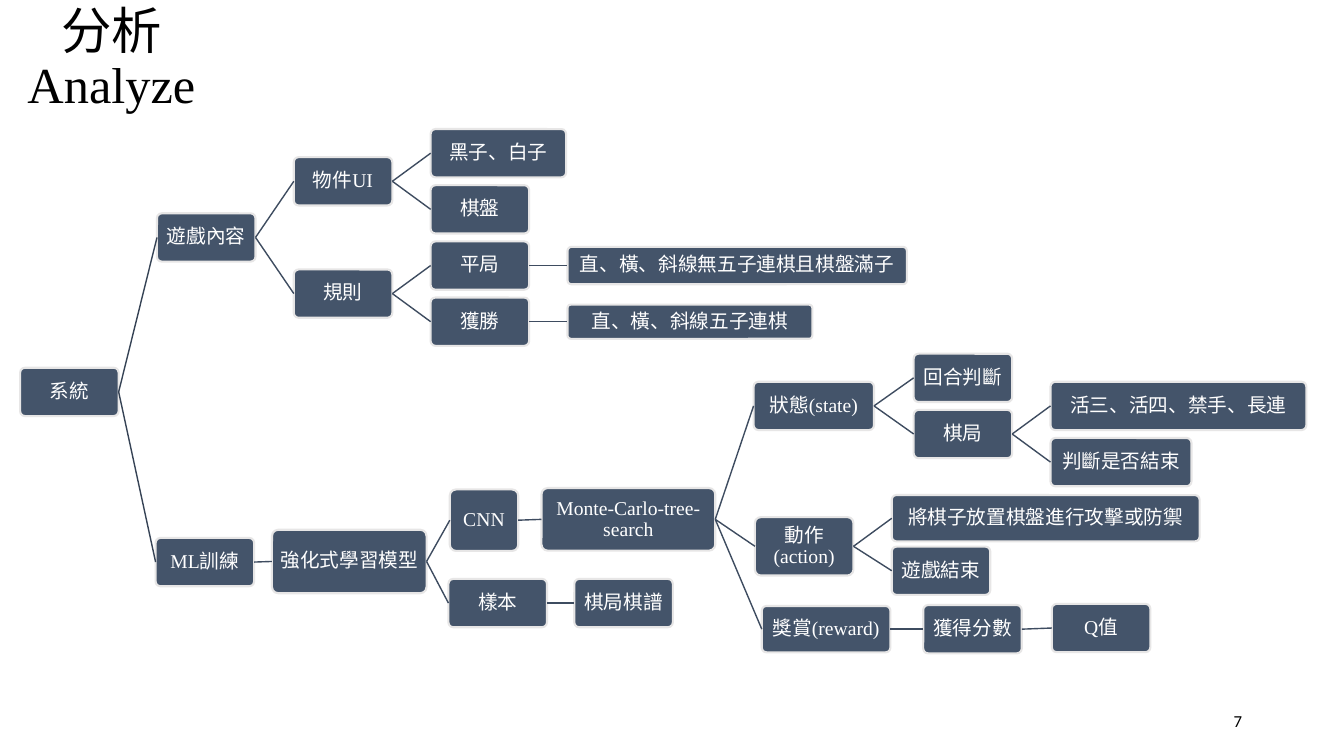
from dataclasses import dataclass

from pptx import Presentation
from pptx.dml.color import RGBColor
from pptx.enum.shapes import MSO_CONNECTOR, MSO_SHAPE
from pptx.enum.text import MSO_ANCHOR, MSO_AUTO_SIZE, PP_ALIGN
from pptx.oxml.ns import qn
from pptx.util import Inches, Pt

STRAIGHT = MSO_CONNECTOR.STRAIGHT
ROUNDED = MSO_SHAPE.ROUNDED_RECTANGLE
MIDDLE = MSO_ANCHOR.MIDDLE
NO_AUTOFIT = MSO_AUTO_SIZE.NONE
CENTER = PP_ALIGN.CENTER
RIGHT = PP_ALIGN.RIGHT
LEFT_SITE, RIGHT_SITE = 1, 3


@dataclass(frozen=True)
class Theme:
    serif: str = "Times New Roman"
    sans: str = "Calibri"
    title_size: float = 36
    node_size: float = 14
    number_size: float = 12
    ink: str = "000000"
    node_text: str = "FFFFFF"
    node_fill: str = "44546A"
    node_border: str = "E7E6E6"
    trunk: str = "364355"
    branch: str = "3E4C60"
    border_width: float = 1.5
    branch_width: float = 1
    leading: float = 0.9
    corner: float = 0.1
    padding: float = 0.02


@dataclass(frozen=True)
class Grid:
    left: float = 0.2
    top: float = 1.52
    column: float = 9.5 / 7
    row: float = 1.95 / 7

    def frame(self, node):
        return (
            Inches(self.left + node.column * self.column),
            Inches(self.top + (node.row - node.height / 2) * self.row),
            Inches(node.width * self.column),
            Inches(node.height * self.row),
        )


@dataclass(frozen=True)
class Node:
    text: str
    column: float
    row: float
    children: tuple = ()
    width: float = 0.72
    height: float = 1.72


class TreeSlide:
    def __init__(self, deck, theme, grid):
        self.deck, self.theme, self.grid = deck, theme, grid
        self.page = deck.slides.add_slide(deck.slide_layouts[5])

    def share(self, left, top, width, height):
        across, down = self.deck.slide_width / 100, self.deck.slide_height / 100
        return int(left * across), int(top * down), int(width * across), int(height * down)

    def set_text(self, box, lines, size, font, colour, align, leading=None):
        frame = box.text_frame
        frame.word_wrap = True
        frame.auto_size = NO_AUTOFIT
        frame.vertical_anchor = MIDDLE
        para = frame.paragraphs[0]
        para.alignment = align
        para.line_spacing = leading
        for index, line in enumerate(lines):
            if index:
                para.add_line_break()
            span = para.add_run()
            span.text = line
            span.font.size = Pt(size)
            span.font.name = font
            span.font.color.rgb = RGBColor.from_string(colour)

    def title(self, lines, area):
        theme = self.theme
        box = self.page.shapes.title
        box.left, box.top, box.width, box.height = self.share(*area)
        self.set_text(box, lines, theme.title_size, theme.serif, theme.ink, CENTER, theme.leading)

    def page_number(self, text, area):
        theme = self.theme
        box = self.page.shapes.add_textbox(*self.share(*area))
        self.set_text(box, [text], theme.number_size, theme.sans, theme.ink, RIGHT)

    def node(self, node):
        theme = self.theme
        box = self.page.shapes.add_shape(ROUNDED, *self.grid.frame(node))
        box.shadow.inherit = False
        box.adjustments[0] = theme.corner
        box.fill.solid()
        box.fill.fore_color.rgb = RGBColor.from_string(theme.node_fill)
        box.line.color.rgb = RGBColor.from_string(theme.node_border)
        box.line.width = Pt(theme.border_width)
        frame = box.text_frame
        frame.margin_left = frame.margin_right = Inches(theme.padding)
        frame.margin_top = frame.margin_bottom = Inches(theme.padding)
        self.set_text(box, [node.text], theme.node_size, theme.serif, theme.node_text,
                      CENTER, theme.leading)
        return box

    def branch(self, parent, child, colour):
        line = self.page.shapes.add_connector(STRAIGHT, 0, 0, 0, 0)
        line.begin_connect(parent, RIGHT_SITE)
        line.end_connect(child, LEFT_SITE)
        line.line.color.rgb = RGBColor.from_string(colour)
        line.line.width = Pt(self.theme.branch_width)
        properties = line._element.spPr
        properties.append(properties.makeelement(qn("a:effectLst"), {}))

    def tree(self, node, colour):
        parent = self.node(node)
        for child in node.children:
            self.branch(parent, self.tree(child, self.theme.branch), colour)
        return parent


game = Node("遊戲內容", 1, 3, (
    Node("物件UI", 2, 1, (
        Node("黑子、白子", 3, 0, width=0.99),
        Node("棋盤", 3, 2),
    )),
    Node("規則", 2, 5, (
        Node("平局", 3, 4, (
            Node("直、橫、斜線無五子連棋且棋盤滿子", 4, 4, width=2.48, height=1.33),
        )),
        Node("獲勝", 3, 6, (
            Node("直、橫、斜線五子連棋", 4, 6, width=1.79, height=1.22),
        )),
    )),
))

state = Node("狀態(state)", 5.36, 9, (
    Node("回合判斷", 6.53, 8),
    Node("棋局", 6.53, 10, (
        Node("活三、活四、禁手、長連", 7.53, 9, width=1.87),
        Node("判斷是否結束", 7.53, 11, width=1.03),
    )),
), width=0.88)

action = Node("動作(action)", 5.37, 14, (
    Node("將棋子放置棋盤進行攻擊或防禦", 6.37, 13, width=2.25, height=1.65),
    Node("遊戲結束", 6.37, 14.87),
), height=2.08)

reward = Node("獎賞(reward)", 5.42, 16.95, (
    Node("獲得分數", 6.6, 16.95, (
        Node("Q值", 7.54, 16.91),
    )),
), width=0.94, height=1.65)

search = Node("Monte-Carlo-tree-search", 3.81, 13.04, (state, action, reward),
              width=1.27, height=2.23)

training = Node("ML訓練", 0.99, 14.56, (
    Node("強化式學習模型", 1.84, 14.54, (
        Node("CNN", 3.14, 13.07, (search,), width=0.5, height=2.19),
        Node("樣本", 3.13, 16.02, (
            Node("棋局棋譜", 4.05, 16.02),
        )),
    ), width=1.13, height=2.26),
))

system = Node("系統", 0, 8.5, (game, training))

deck = Presentation()
deck.slide_width, deck.slide_height = Inches(13.33), Inches(7.5)
theme = Theme()
slide = TreeSlide(deck, theme, Grid())
slide.tree(system, theme.trunk)
slide.title(["分析", "Analyze"], (0, 0, 16.58, 15.87))
slide.page_number("7", (70.67, 92.67, 22.5, 5.33))
deck.save("out.pptx")
